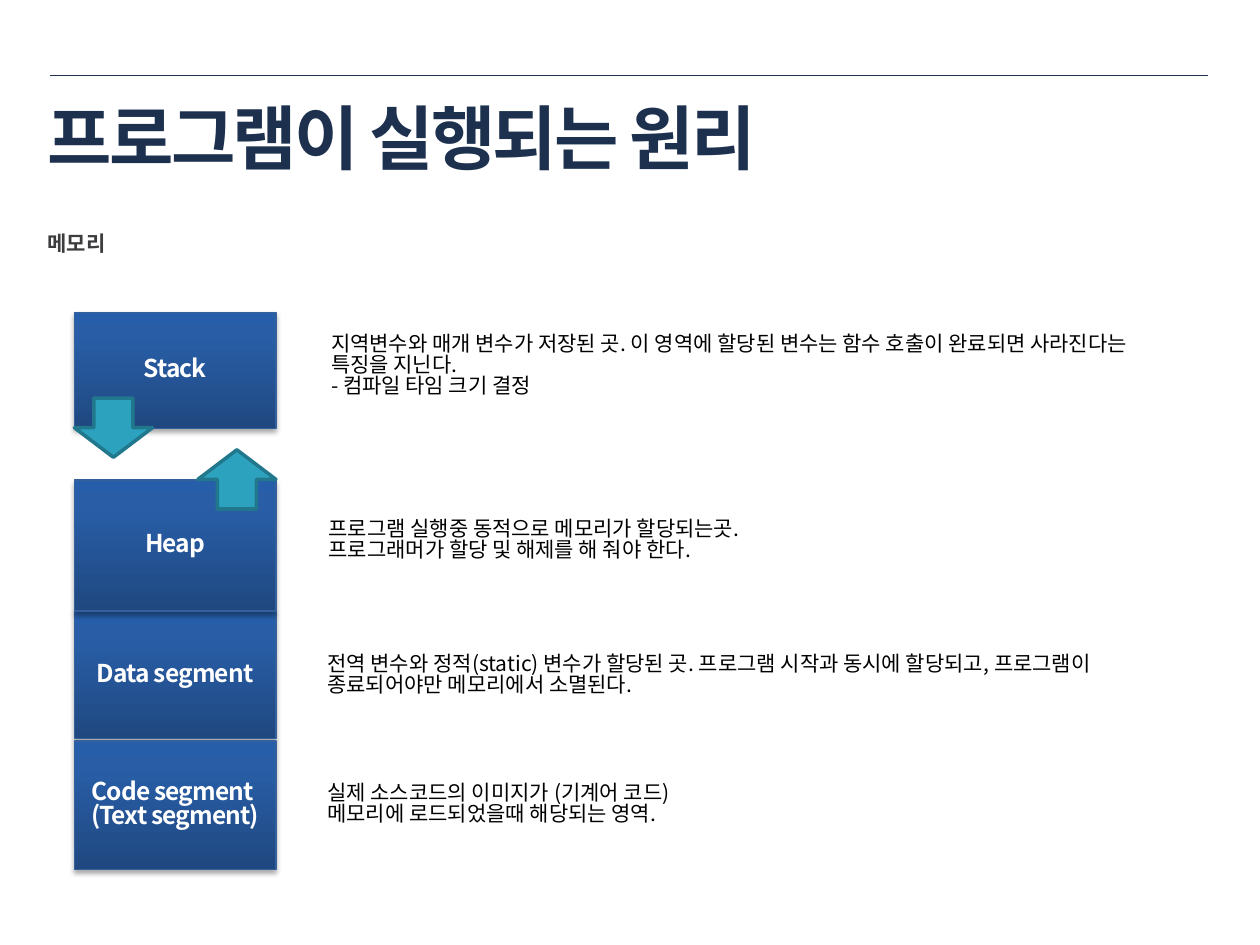
from pptx import Presentation
from pptx.dml.color import RGBColor
from pptx.enum.shapes import MSO_CONNECTOR, MSO_SHAPE
from pptx.enum.text import MSO_ANCHOR, PP_ALIGN
from pptx.oxml import parse_xml
from pptx.oxml.ns import nsdecls, qn
from pptx.util import Inches, Pt
from lxml.etree import SubElement

FONT = "Noto Sans CJK KR"
NAVY = "1D314E"
BLOCK_GRADIENT = [(0, "1F4880"), (80, "295EA7"), (100, "265EAA")]
BLOCK_LEFT, BLOCK_WIDTH = 0.59, 1.6
ARROW_WIDTH, ARROW_HEIGHT = 0.62, 0.47

BODY = {"size": 12, "color": "000000", "line_spacing": 0.83}
LABEL = {"size": 14, "color": "FFFFFF", "bold": True, "tracking": -0.5,
         "line_spacing": 0.83, "alignment": PP_ALIGN.CENTER}
HEADING = {"size": 12, "color": "3D3C3E", "bold": True}
TITLE = {"size": 40, "color": NAVY, "bold": True, "tracking": -1.5}

# Block top, height and lines, in stacking order
BLOCKS = [
    (4.85, 1.01, ["Data segment"]),
    (2.48, 0.92, ["Stack"]),
    (5.88, 1.02, ["Code segment ", "(Text segment)"]),
    (3.81, 1.04, ["Heap"]),
]

# Description position, size and lines
DESCRIPTIONS = [
    (2.53, 2.61, 6.97, 0.71,
     ["지역변수와 매개 변수가 저장된 곳. 이 영역에 할당된 변수는 함수 호출이 완료되면 "
      "사라진다는 특징을 지닌다.",
      "- 컴파일 타임 크기 결정"]),
    (2.51, 4.08, 7.07, 0.71,
     ["프로그램 실행중 동적으로 메모리가 할당되는곳.",
      "프로그래머가 할당 및 해제를 해 줘야 한다."]),
    (2.5, 5.15, 7.08, 0.5,
     ["전역 변수와 정적(static) 변수가 할당된 곳. 프로그램 시작과 동시에 할당되고, "
      "프로그램이 종료되어야만 메모리에서 소멸된다."]),
    (2.5, 6.17, 7.08, 0.5,
     ["실제 소스코드의 이미지가 (기계어 코드)",
      "메모리에 로드되었을때 해당되는 영역."]),
]


def rgb(value):
    return RGBColor.from_string(value)


def write_lines(frame, lines, style, anchor):
    frame.word_wrap = True
    frame.vertical_anchor = anchor
    for index, line in enumerate(lines):
        para = frame.paragraphs[0] if index == 0 else frame.add_paragraph()
        para.alignment = style.get("alignment", PP_ALIGN.LEFT)
        para.line_spacing = style.get("line_spacing")
        span = para.add_run()
        span.text = line
        values = {"name": FONT, "size": Pt(style["size"]),
                  "bold": style.get("bold", False)}
        for name, value in values.items():
            setattr(span.font, name, value)
        span.font.color.rgb = rgb(style["color"])
        # East Asian typeface and letter spacing
        properties = span.font._element
        SubElement(properties, qn("a:ea"), typeface=FONT)
        if "tracking" in style:
            properties.set("spc", str(round(style["tracking"] * 100)))


def add_text(page, left, top, width, height, lines, style, anchor=MSO_ANCHOR.TOP):
    box = page.shapes.add_textbox(Inches(left), Inches(top), Inches(width), Inches(height))
    write_lines(box.text_frame, lines, style, anchor)


def add_outlined_shape(page, kind, left, top, width, height, line_color, line_width):
    shape = page.shapes.add_shape(kind, Inches(left), Inches(top),
                                  Inches(width), Inches(height))
    shape.shadow.inherit = False
    shape.line.color.rgb = rgb(line_color)
    shape.line.width = Pt(line_width)
    return shape


def add_block(page, top, height, lines):
    block = add_outlined_shape(page, MSO_SHAPE.RECTANGLE, BLOCK_LEFT, top,
                               BLOCK_WIDTH, height, "35609C", 0.75)
    properties = block._element.spPr
    # Gradient running from bottom to top
    stops = "".join(f'<a:gs pos="{place * 1000}"><a:srgbClr val="{color}"/></a:gs>'
                    for place, color in BLOCK_GRADIENT)
    properties.find(qn("a:prstGeom")).addnext(parse_xml(
        f'<a:gradFill {nsdecls("a")} rotWithShape="1"><a:gsLst>{stops}</a:gsLst>'
        '<a:lin ang="16200000" scaled="0"/></a:gradFill>'))
    # Soft shadow below
    properties.find(qn("a:effectLst")).append(parse_xml(
        f'<a:outerShdw {nsdecls("a")} blurRad="{Pt(3.1)}" dist="{Pt(1.8)}" '
        'dir="5400000" rotWithShape="0"><a:srgbClr val="000000">'
        '<a:alpha val="35000"/></a:srgbClr></a:outerShdw>'))
    write_lines(block.text_frame, lines, LABEL, MSO_ANCHOR.MIDDLE)


def add_arrow(page, kind, left, top):
    arrow = add_outlined_shape(page, kind, left, top, ARROW_WIDTH, ARROW_HEIGHT,
                               "21788D", 2)
    arrow.fill.solid()
    arrow.fill.fore_color.rgb = rgb("2DA2BF")


def add_rule(page, left, right, top):
    rule = page.shapes.add_connector(MSO_CONNECTOR.STRAIGHT, Inches(left), Inches(top),
                                     Inches(right), Inches(top))
    rule.line.color.rgb = rgb("1C314E")
    rule.line.width = Pt(0.25)
    SubElement(rule._element.spPr, qn("a:effectLst"))


def main():
    deck = Presentation()
    deck.slide_width, deck.slide_height = Inches(10), Inches(7.5)
    page = deck.slides.add_slide(deck.slide_layouts[6])

    # Heading area
    add_rule(page, 0.4, 9.59, 0.6)
    add_text(page, 0.28, 1.78, 2.23, 0.95, ["메모리"], HEADING)
    add_text(page, 0.28, 0.58, 9.16, 1, ["프로그램이 실행되는 원리"], TITLE,
             MSO_ANCHOR.MIDDLE)

    # Memory layout and growth directions
    for block in BLOCKS:
        add_block(page, *block)
    add_arrow(page, MSO_SHAPE.DOWN_ARROW, BLOCK_LEFT, 3.16)
    add_arrow(page, MSO_SHAPE.UP_ARROW, BLOCK_LEFT + BLOCK_WIDTH - ARROW_WIDTH, 3.57)

    # Explanations beside the blocks
    for description in DESCRIPTIONS:
        add_text(page, *description, BODY)

    deck.save("out.pptx")


if __name__ == "__main__":
    main()
